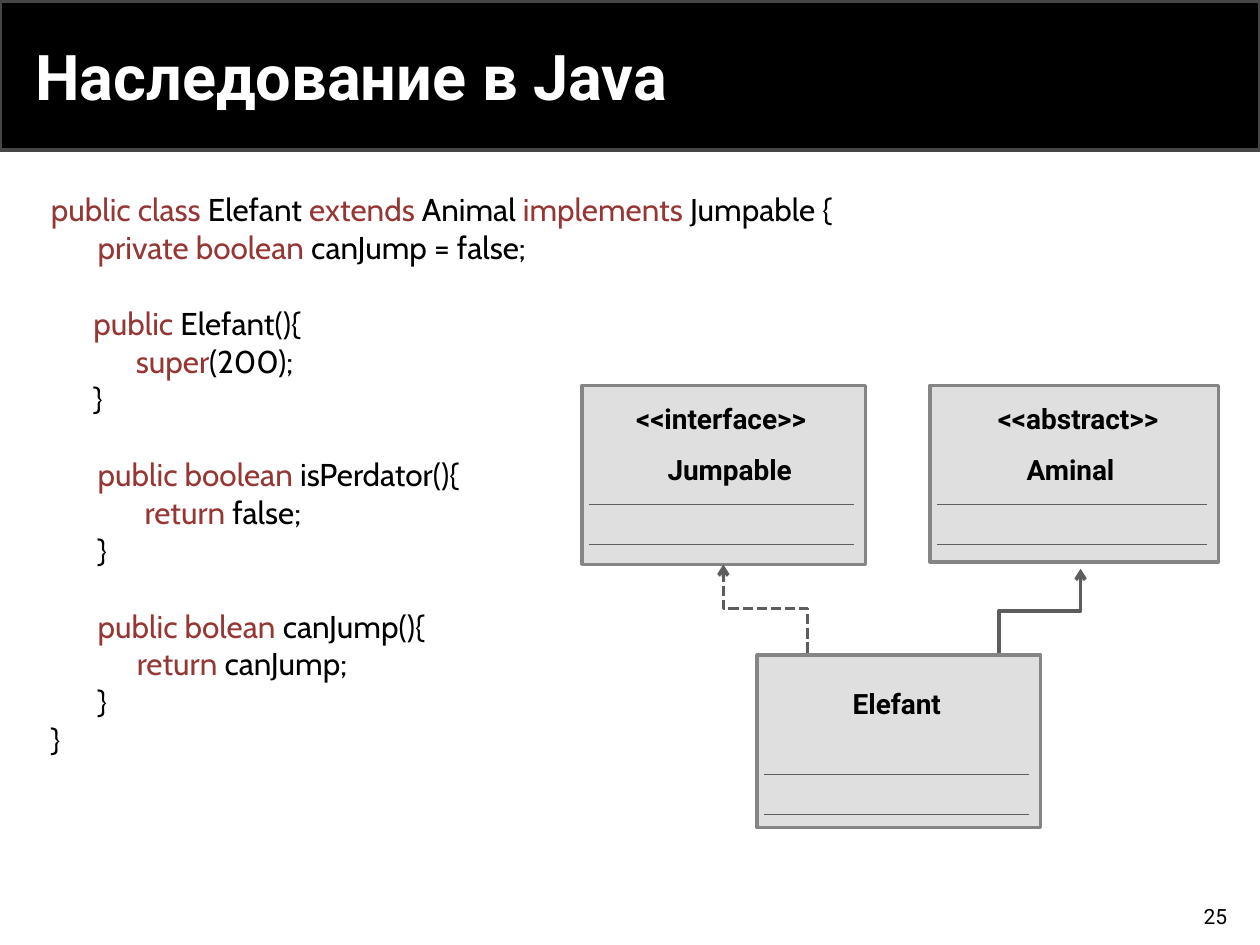
from dataclasses import dataclass
from typing import NamedTuple

from lxml.etree import SubElement
from pptx import Presentation
from pptx.dml.color import RGBColor as RGB
from pptx.enum.dml import MSO_LINE as Dash
from pptx.enum.shapes import MSO_CONNECTOR as Conn, MSO_SHAPE as Shape
from pptx.enum.text import MSO_ANCHOR as Anchor, PP_ALIGN as Align
from pptx.oxml.ns import qn
from pptx.util import Pt


@dataclass(frozen=True)
class Theme:
    black: RGB = RGB(0, 0, 0)
    white: RGB = RGB(255, 255, 255)
    band_edge: RGB = RGB(0x46, 0x46, 0x46)
    keyword: RGB = RGB(0x95, 0x37, 0x35)
    box_fill: RGB = RGB(0xDF, 0xDF, 0xDF)
    box_edge: RGB = RGB(0x85, 0x85, 0x85)
    line: RGB = RGB(0x5D, 0x5D, 0x5D)
    font: str = "Roboto"
    code_font: str = "Cabin"
    title_size: float = 36
    code_size: float = 18
    label_size: float = 16
    number_size: float = 12
    thick: float = 2
    thin: float = 0.75


class Rect(NamedTuple):
    x: float
    y: float
    w: float
    h: float

    def place(self) -> tuple:
        return tuple(Pt(v) for v in self)


class Label(NamedTuple):
    text: str
    dx: float
    dy: float
    w: float


class ClassBox(NamedTuple):
    rect: Rect
    labels: list[Label]


class Arrow(NamedTuple):
    start: tuple[float, float]
    end: tuple[float, float]
    dashed: bool = False


class CodeLine(NamedTuple):
    """A line of code; keywords stand between asterisks."""
    indent: int
    text: str
    indent_font: str
    gap: bool = False


T = Theme()
LABEL_HEIGHT = 26.6
RULE_OFFSETS = (68, 91)
RULE_INSETS = (4, 6.7)
CODE_GAP = 21.7

CODE = [
    CodeLine(0, "*public class *Elefant *extends* Animal *implements *Jumpable {", T.code_font),
    CodeLine(6, "*private boolean *canJump = false;", T.font),
    CodeLine(6, "*public *Elefant(){", T.code_font, gap=True),
    CodeLine(12, "*super*(200);", T.code_font),
    CodeLine(6, "}", T.code_font),
    CodeLine(6, "*public boolean *isPerdator(){", T.font, gap=True),
    CodeLine(12, "*return* false;", T.font),
    CodeLine(6, "}", T.font),
    CodeLine(6, "*public bolean *canJump(){", T.font, gap=True),
    CodeLine(11, "*return *canJump;", T.font),
    CodeLine(6, "}", T.font),
    CodeLine(0, "}", T.code_font),
]

BOXES = [
    ClassBox(Rect(531.4, 220.3, 164.9, 100.8),
             [Label("<<abstract>>", 31.7, 5.8, 120.2), Label("Aminal", 48.2, 34.6, 73.4)]),
    ClassBox(Rect(332.6, 220.3, 162, 102.2),
             [Label("<<interface>>", 23.8, 5.8, 114.5), Label("Jumpable", 41.8, 34.6, 86.4)]),
    ClassBox(Rect(432.7, 374.4, 162, 98.6), [Label("Elefant", 47.5, 14.4, 75.6)]),
]

ARROWS = [
    Arrow((571, 373), (617.5, 325)),
    Arrow((461.5, 373), (413.3, 322.6), dashed=True),
]


def add_run(p, text: str, *, size: float, font: str = T.font,
            color: RGB = T.black, bold: bool = False) -> None:
    r = p.add_run()
    r.text = text
    r.font.size, r.font.name, r.font.bold = Pt(size), font, bold
    r.font.color.rgb = color


def add_box(s, rect: Rect, fill: RGB, edge: RGB):
    sp = s.shapes.add_shape(Shape.RECTANGLE, *rect.place())
    sp.shadow.inherit = False
    sp.fill.solid()
    sp.fill.fore_color.rgb = fill
    sp.line.color.rgb = edge
    sp.line.width = Pt(T.thick)
    return sp


def add_text_frame(s, rect: Rect, anchor: Anchor = Anchor.TOP):
    tf = s.shapes.add_textbox(*rect.place()).text_frame
    tf.word_wrap = True
    tf.vertical_anchor = anchor
    return tf


def style_line(c, width: float) -> None:
    c.line.color.rgb = T.line
    c.line.width = Pt(width)
    SubElement(c.element.spPr, qn("a:effectLst"))


def add_class_box(s, box: ClassBox) -> None:
    x, y, w, _ = box.rect
    add_box(s, box.rect, T.box_fill, T.box_edge)
    for text, dx, dy, width in box.labels:
        tf = add_text_frame(s, Rect(x + dx, y + dy, width, LABEL_HEIGHT))
        add_run(tf.paragraphs[0], text, size=T.label_size, bold=True)
    left, right = RULE_INSETS
    for dy in RULE_OFFSETS:
        rule = s.shapes.add_connector(Conn.STRAIGHT, Pt(x + left), Pt(y + dy),
                                      Pt(x + w - right), Pt(y + dy))
        style_line(rule, T.thin)


def add_arrow(s, arrow: Arrow) -> None:
    """Draw an elbow that leaves upwards: a sideways elbow turned by 270 degrees."""
    (x1, y1), (x2, y2) = arrow.start, arrow.end
    w, h = y1 - y2, abs(x2 - x1)
    left, top = (x1 + x2 - w) / 2, (y1 + y2 - h) / 2
    c = s.shapes.add_connector(Conn.ELBOW, Pt(left), Pt(top), Pt(left + w), Pt(top + h))
    xfrm = c.element.spPr.find(qn("a:xfrm"))
    xfrm.set("rot", str(270 * 60000))
    if x2 < x1:
        xfrm.set("flipV", "1")
    style_line(c, T.thick)
    if arrow.dashed:
        c.line.dash_style = Dash.SQUARE_DOT
    SubElement(c.element.spPr.find(qn("a:ln")), qn("a:tailEnd"), type="arrow")


def add_code(s, rect: Rect, lines: list[CodeLine]) -> None:
    tf = add_text_frame(s, rect)
    for i, line in enumerate(lines):
        p = tf.add_paragraph() if i else tf.paragraphs[0]
        if line.gap:
            p.space_before = Pt(CODE_GAP)
        if line.indent:
            add_run(p, " " * line.indent, size=T.code_size, font=line.indent_font)
        for k, part in enumerate(line.text.split("*")):
            if part:
                add_run(p, part, size=T.code_size, font=T.code_font,
                        color=T.keyword if k % 2 else T.black)


def add_title(s, text: str) -> None:
    title = s.shapes.title
    title.left, title.top, title.width, title.height = Rect(13, 7.2, 586.8, 72).place()
    band = add_box(s, Rect(0, 0.7, 720, 85), T.black, T.band_edge)
    title.element.addprevious(band.element)
    tf = title.text_frame
    tf.vertical_anchor = Anchor.MIDDLE
    p = tf.paragraphs[0]
    p.alignment = Align.LEFT
    add_run(p, text, size=T.title_size, color=T.white, bold=True)


def main() -> None:
    prs = Presentation()
    prs.slide_width, prs.slide_height = Pt(720), Pt(540)
    s = prs.slides.add_slide(prs.slide_layouts[5])
    add_title(s, "Наследование в Java")
    add_code(s, Rect(22, 105.1, 561.6, 334), CODE)
    for box in BOXES:
        add_class_box(s, box)
    for arrow in ARROWS:
        add_arrow(s, arrow)
    p = add_text_frame(s, Rect(552.2, 509, 156.2, 28.8), Anchor.MIDDLE).paragraphs[0]
    p.alignment = Align.RIGHT
    add_run(p, "25", size=T.number_size)
    prs.save("out.pptx")


if __name__ == "__main__":
    main()
